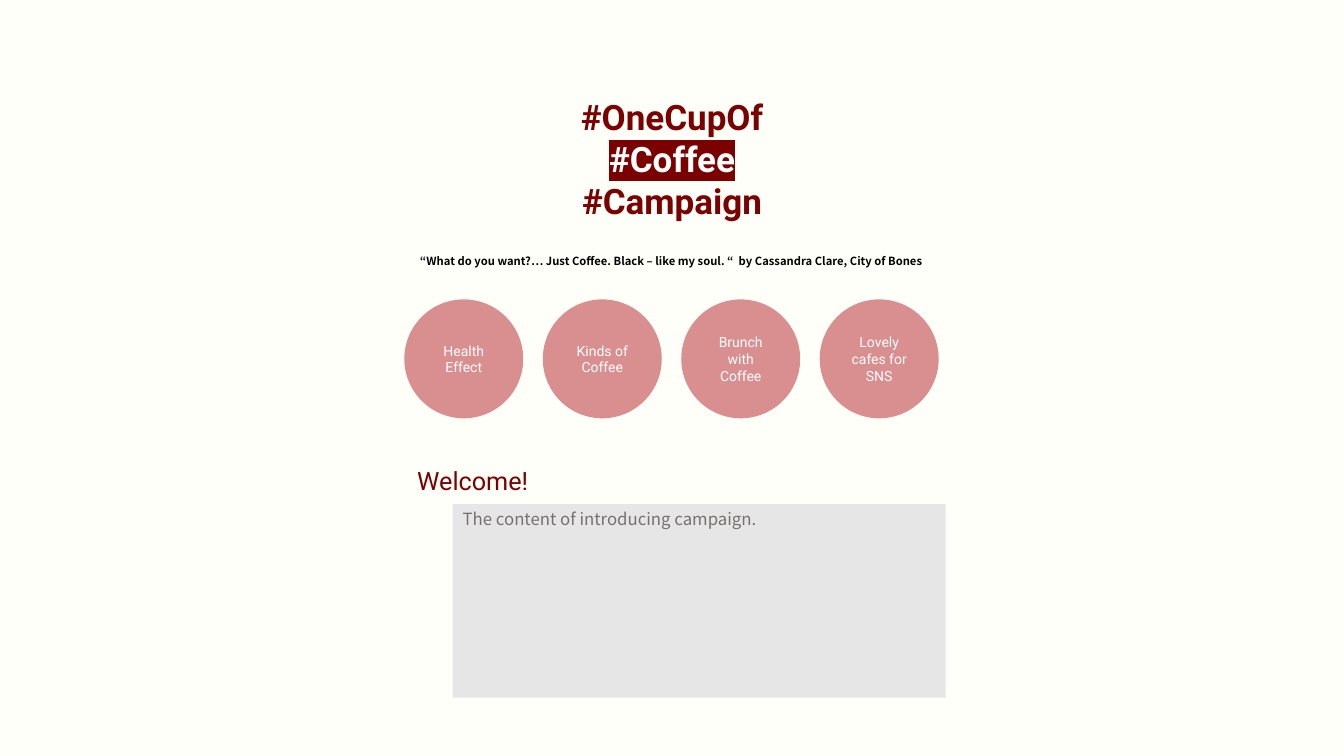
"""Build the coffee campaign slide."""
from dataclasses import dataclass

import lxml.etree
import pptx
import pptx.dml.color
import pptx.enum.shapes
import pptx.enum.text
import pptx.oxml.ns
import pptx.util

Inches = pptx.util.Inches
Align = pptx.enum.text.PP_ALIGN
Anchor = pptx.enum.text.MSO_ANCHOR
Shape = pptx.enum.shapes.MSO_SHAPE


@dataclass(frozen=True)
class Theme:
    """Colours, fonts and type sizes."""
    page: str = "FFFFF9"
    wine: str = "7B0101"
    rose: str = "D98F8F"
    panel: str = "E7E6E6"
    gray: str = "767171"
    white: str = "FFFFFF"
    black: str = "000000"
    head: str = "Roboto"
    body: str = "Noto Sans CJK KR"
    title: int = 25
    welcome: int = 18
    intro: int = 12
    topic: int = 10
    quote: int = 8


THEME = Theme()


def paint(fill, color):
    """Give a fill one solid colour."""
    fill.solid()
    fill.fore_color.rgb = pptx.dml.color.RGBColor.from_string(color)


def write(frame, text, font, size, color, bold=False, align=Align.LEFT, anchor=Anchor.TOP):
    """Set the text of a frame and format its runs."""
    frame.text = text
    frame.word_wrap = True
    frame.auto_size = pptx.enum.text.MSO_AUTO_SIZE.NONE
    frame.vertical_anchor = anchor
    for line in frame.paragraphs:
        line.alignment = align
        for run in line.runs:
            run.font.name = font
            run.font.size = pptx.util.Pt(size)
            run.font.bold = bold
            paint(run.font.fill, color)


def add_block(slide, kind, box, color):
    """Add a filled shape with no line or shadow."""
    block = slide.shapes.add_shape(kind, *map(Inches, box))
    block.shadow.inherit = False
    paint(block.fill, color)
    block.line.fill.background()
    return block


def mark(run, color, back):
    """Recolour a run and highlight it."""
    paint(run.font.fill, color)
    tag = pptx.oxml.ns.qn
    light = lxml.etree.Element(tag("a:highlight"))
    lxml.etree.SubElement(light, tag("a:srgbClr"), val=back)
    run.font.fill
    run._r.rPr.find(tag("a:solidFill")).addnext(light)


def add_title(slide, box):
    """Place the three hashtags in the title."""
    title = slide.shapes.title
    title.left, title.top, title.width, title.height = map(Inches, box)
    frame = title.text_frame
    write(frame, "#OneCupOf\n#Coffee\n#Campaign", THEME.head, THEME.title,
          THEME.wine, bold=True, align=Align.CENTER)
    mark(frame.paragraphs[1].runs[0], THEME.white, THEME.wine)


def add_quote(slide, box):
    """Place the quote on one line."""
    frame = slide.shapes.add_textbox(*map(Inches, box)).text_frame
    write(frame, "“What do you want?… Just Coffee. Black – like my soul. “  "
          "by Cassandra Clare, City of Bones", THEME.body, THEME.quote,
          THEME.black, bold=True, align=Align.CENTER)
    frame.word_wrap = False


def add_topics(slide, box, topics):
    """Spread one circle per topic evenly across the box."""
    left, top, width, size = box
    step = (width - size) / (len(topics) - 1)
    for spot, topic in enumerate(topics):
        disc = add_block(slide, Shape.OVAL, (left + spot * step, top, size, size), THEME.rose)
        write(disc.text_frame, topic, THEME.head, THEME.topic, THEME.white,
              align=Align.CENTER, anchor=Anchor.MIDDLE)


def add_welcome(slide, box):
    """Place the welcome heading above its indented panel."""
    left, top, width, height = box
    head, indent = 0.43, 0.45
    label = slide.shapes.add_textbox(*map(Inches, (left, top, 3.54, 0.4)))
    write(label.text_frame, "Welcome!", THEME.head, THEME.welcome, THEME.wine)
    panel = add_block(slide, Shape.RECTANGLE,
                      (left + indent, top + head, width - indent, height - head), THEME.panel)
    write(panel.text_frame, "The content of introducing campaign.", THEME.body,
          THEME.intro, THEME.gray)


def main():
    """Build and save the deck."""
    deck = pptx.Presentation()
    deck.slide_width, deck.slide_height = Inches(13.33), Inches(7.5)
    slide = deck.slides.add_slide(deck.slide_layouts.get_by_name("Title Only"))
    paint(slide.background.fill, THEME.page)
    add_title(slide, (4.09, 0.9, 5.15, 1.36))
    add_quote(slide, (4.05, 2.47, 5.22, 0.24))
    add_topics(slide, (4.01, 2.97, 5.3, 1.18),
               ["Health Effect", "Kinds of Coffee", "Brunch with Coffee", "Lovely cafes for SNS"])
    add_welcome(slide, (4.04, 4.57, 5.34, 2.35))
    deck.save("out.pptx")


main()
